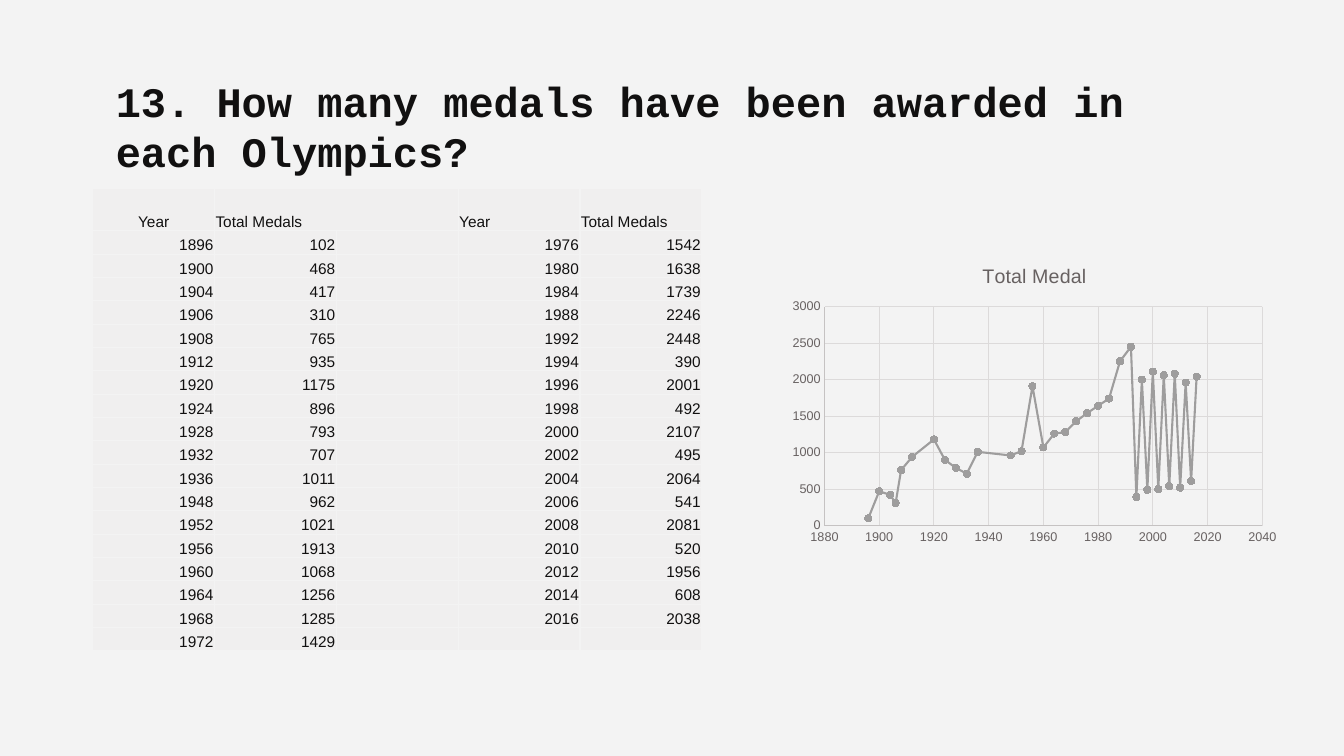
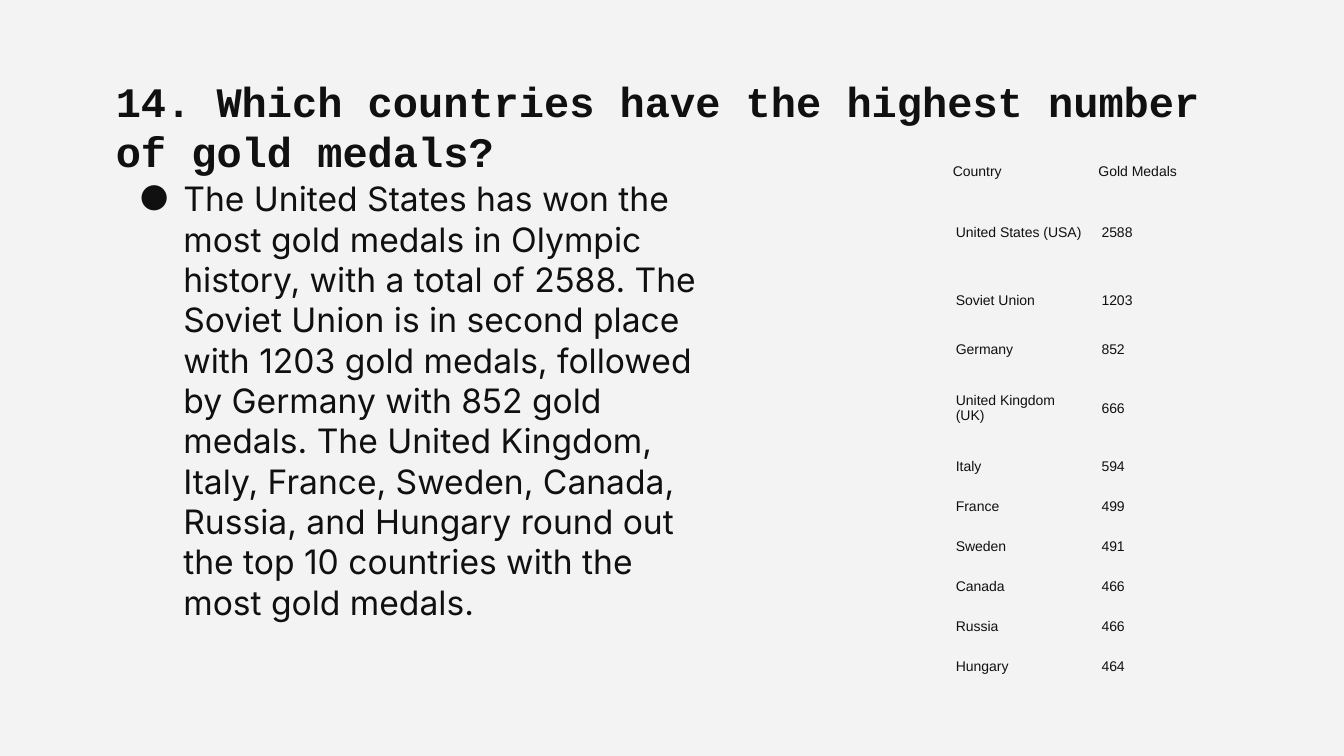
from itertools import zip_longest

from lxml import etree
from pptx import Presentation
from pptx.chart.data import XyChartData
from pptx.dml.color import RGBColor
from pptx.enum.chart import XL_CHART_TYPE, XL_MARKER_STYLE, XL_TICK_MARK
from pptx.enum.text import MSO_ANCHOR, PP_ALIGN
from pptx.oxml.ns import qn
from pptx.util import Inches, Pt

LEFT, CENTER, RIGHT = PP_ALIGN.LEFT, PP_ALIGN.CENTER, PP_ALIGN.RIGHT
MIDDLE, BOTTOM = MSO_ANCHOR.MIDDLE, MSO_ANCHOR.BOTTOM
SCATTER = XL_CHART_TYPE.XY_SCATTER_LINES
CIRCLE = XL_MARKER_STYLE.CIRCLE
NO_TICK = XL_TICK_MARK.NONE

COLORS = {
    "page": "F3F3F3",
    "ink": "111010",
    "cell": "F0EFEF",
    "label": "676161",
    "axis": "C5C2C2",
    "grid": "DCDADA",
    "line": "9E9D9D",
}
HEAD, BODY, DATA = "Courier New", "Inter", "Arial"

MEDALS = [
    (1896, 102), (1900, 468), (1904, 417), (1906, 310), (1908, 765),
    (1912, 935), (1920, 1175), (1924, 896), (1928, 793), (1932, 707),
    (1936, 1011), (1948, 962), (1952, 1021), (1956, 1913), (1960, 1068),
    (1964, 1256), (1968, 1285), (1972, 1429), (1976, 1542), (1980, 1638),
    (1984, 1739), (1988, 2246), (1992, 2448), (1994, 390), (1996, 2001),
    (1998, 492), (2000, 2107), (2002, 495), (2004, 2064), (2006, 541),
    (2008, 2081), (2010, 520), (2012, 1956), (2014, 608), (2016, 2038),
]
GOLD = [
    ("Country", "Gold Medals"),
    ("United States (USA)", 2588),
    ("Soviet Union", 1203),
    ("Germany", 852),
    ("United Kingdom (UK)", 666),
    ("Italy", 594),
    ("France", 499),
    ("Sweden", 491),
    ("Canada", 466),
    ("Russia", 466),
    ("Hungary", 464),
]
TALL = {0: 0.44, 1: 0.77, 2: 0.58, 4: 0.77}
ANSWER = (
    "The United States has won the most gold medals in Olympic history, "
    "with a total of 2588. The Soviet Union is in second place with 1203 "
    "gold medals, followed by Germany with 852 gold medals. The United "
    "Kingdom, Italy, France, Sweden, Canada, Russia, and Hungary round out "
    "the top 10 countries with the most gold medals."
)


def color(name):
    """Return the named colour."""
    return RGBColor.from_string(COLORS[name])


def style(font, size, face, name="ink", bold=False):
    """Set the size, face and colour of a font."""
    font.size, font.name, font.bold = Pt(size), face, bold
    font.color.rgb = color(name)


def add_text(slide, box, text, size, face, bold=False):
    """Add a wrapped text box and return its paragraph."""
    frame = slide.shapes.add_textbox(*map(Inches, box)).text_frame
    frame.word_wrap = True
    frame.margin_left = frame.margin_right = Inches(0.1)
    frame.margin_top = frame.margin_bottom = Inches(0.1)
    para = frame.paragraphs[0]
    run = para.add_run()
    run.text = text
    style(run.font, size, face, bold=bold)
    return para


def add_bullet(slide, box, text):
    """Add a body text with a hanging bullet."""
    props = add_text(slide, box, text, 24, BODY)._p.get_or_add_pPr()
    props.set("marL", str(Inches(0.67)))
    props.set("indent", str(Inches(-0.44)))
    tint = etree.SubElement(props, qn("a:buClr"))
    etree.SubElement(tint, qn("a:srgbClr"), val=COLORS["ink"])
    etree.SubElement(props, qn("a:buFont"), typeface=BODY)
    etree.SubElement(props, qn("a:buChar"), char="●")


def add_grid(slide, box, cols, rows):
    """Add a plain table with equal columns and the given row heights."""
    shape = slide.shapes.add_table(len(rows), cols, *map(Inches, box))
    table = shape.table
    table.first_row = table.horz_banding = False
    for col in table.columns:
        col.width = Inches(box[2] / cols)
    for row, height in zip(table.rows, rows):
        row.height = Inches(height)
    return table


def set_edges(cell, name=None):
    """Draw the cell borders in a colour, or hide them."""
    props = cell._tc.get_or_add_tcPr()
    for at, side in enumerate(("lnL", "lnR", "lnT", "lnB")):
        edge = etree.Element(qn(f"a:{side}"), w=str(Pt(1)))
        if name:
            fill = etree.SubElement(edge, qn("a:solidFill"))
            etree.SubElement(fill, qn("a:srgbClr"), val=COLORS[name])
        else:
            etree.SubElement(edge, qn("a:noFill"))
        props.insert(at, edge)


def set_cell(cell, text, size, pads, anchor, align=LEFT, fill=None, edge=None):
    """Write one cell; pads are left, top, right and bottom."""
    pads = map(Inches, pads)
    cell.margin_left, cell.margin_top, cell.margin_right, cell.margin_bottom = pads
    cell.vertical_anchor = anchor
    para = cell.text_frame.paragraphs[0]
    para.alignment = align
    if text == "":
        para._p.get_or_add_endParaRPr().set("sz", str(size * 100))
    else:
        run = para.add_run()
        run.text = str(text)
        style(run.font, size, DATA)
    if fill:
        cell.fill.solid()
        cell.fill.fore_color.rgb = color(fill)
    else:
        cell.fill.background()
    set_edges(cell, edge)


def add_medals(slide, box):
    """Add the table of years and medals in two halves."""
    half = (len(MEDALS) + 1) // 2
    top = 0.42
    step = (box[3] - top) / half
    table = add_grid(slide, box, 5, [top] + [step] * half)
    lines = [("Year", "Total Medals", "", "Year", "Total Medals")]
    pairs = zip_longest(MEDALS[:half], MEDALS[half:], fillvalue=("", ""))
    lines += [(*one, "", *two) for one, two in pairs]
    for row, line in enumerate(lines):
        for col, text in enumerate(line):
            align = RIGHT if row else LEFT if col else CENTER
            set_cell(table.cell(row, col), text, 11, (0.01, 0.01, 0.01, 0),
                     BOTTOM, align, "cell", "page")
    table.cell(0, 1).merge(table.cell(0, 2))


def add_gold(slide, box):
    """Add the table of countries; rows that are not tall share the rest."""
    step = (box[3] - sum(TALL.values())) / (len(GOLD) - len(TALL))
    rows = [TALL.get(row, step) for row in range(len(GOLD))]
    table = add_grid(slide, box, 2, rows)
    for row, line in enumerate(GOLD):
        pads = (0.09,) * 4 if row else (0.06, 0.03) * 2
        for col, text in enumerate(line):
            set_cell(table.cell(row, col), text, 10, pads, MIDDLE)


def set_line(line, name, width=0.75):
    """Set the colour and width of a line."""
    line.color.rgb = color(name)
    line.width = Pt(width)


def set_axis(axis, low, high, step):
    """Set the scale and look of an axis."""
    axis.minimum_scale, axis.maximum_scale = low, high
    axis.major_unit = step
    axis.major_tick_mark = axis.minor_tick_mark = NO_TICK
    axis.has_major_gridlines = True
    set_line(axis.major_gridlines.format.line, "grid")
    set_line(axis.format.line, "axis")
    style(axis.tick_labels.font, 9, DATA, "label")


def add_plot(slide, box):
    """Add the scatter chart of medals, to the nearest ten, by year."""
    name = "Total Medal"
    data = XyChartData()
    points = data.add_series(name)
    for year, count in MEDALS:
        points.add_data_point(year, round(count, -1))
    chart = slide.shapes.add_chart(SCATTER, *map(Inches, box), data).chart
    style(chart.font, 10, DATA)
    chart.has_legend = False
    chart.has_title = True
    run = chart.chart_title.text_frame.paragraphs[0].add_run()
    run.text = name
    style(run.font, 14, DATA, "label")
    chart.chart_title.include_in_layout = False
    set_axis(chart.category_axis, 1880, 2040, 20)
    set_axis(chart.value_axis, 0, 3000, 500)
    plot = chart.plots[0]
    plot.vary_by_categories = False
    series = plot.series[0]
    series.smooth = False
    set_line(series.format.line, "line", 1.5)
    mark = series.marker
    mark.style, mark.size = CIRCLE, 5
    mark.format.fill.solid()
    mark.format.fill.fore_color.rgb = color("line")
    set_line(mark.format.line, "line")


def add_slide(deck, title):
    """Add a blank slide with a title."""
    slide = deck.slides.add_slide(deck.slide_layouts[6])
    add_text(slide, (1.05, 0.65, 11.23, 0.84), title, 30, HEAD, True)
    return slide


def main():
    """Build and save the deck."""
    deck = Presentation()
    deck.slide_width, deck.slide_height = Inches(13.33), Inches(7.5)
    back = deck.slide_master.background.fill
    back.solid()
    back.fore_color.rgb = color("page")

    slide = add_slide(
        deck, "13. How many medals have been awarded in each Olympics?")
    add_medals(slide, (0.92, 1.87, 6.04, 4.59))
    add_plot(slide, (7.76, 2.46, 5, 3))

    slide = add_slide(
        deck, "14. Which countries have the highest number of gold medals?")
    add_bullet(slide, (1.05, 1.67, 6.11, 5.33), ANSWER)
    add_gold(slide, (9.39, 1.48, 2.89, 5.33))
    deck.save("out.pptx")


if __name__ == "__main__":
    main()
